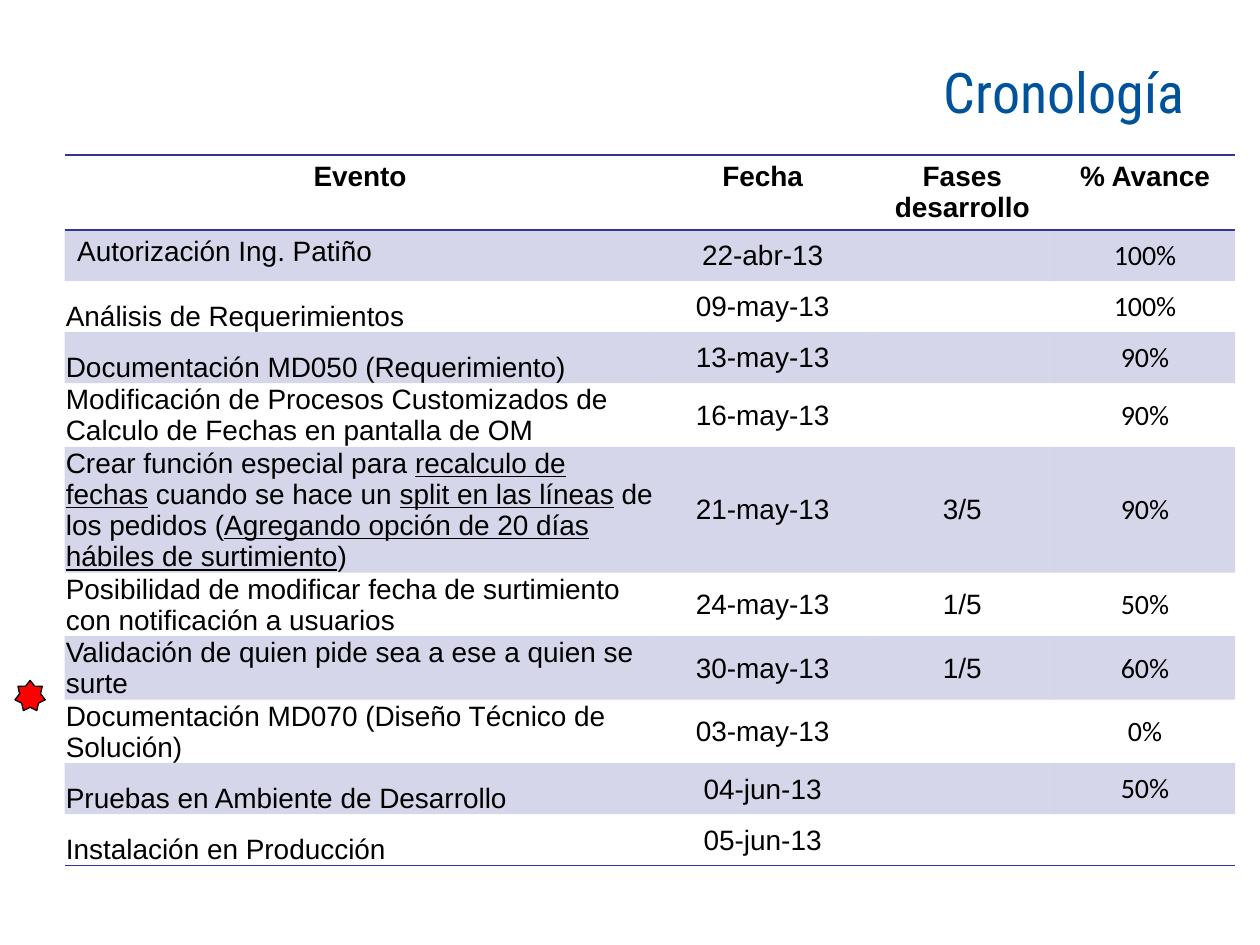
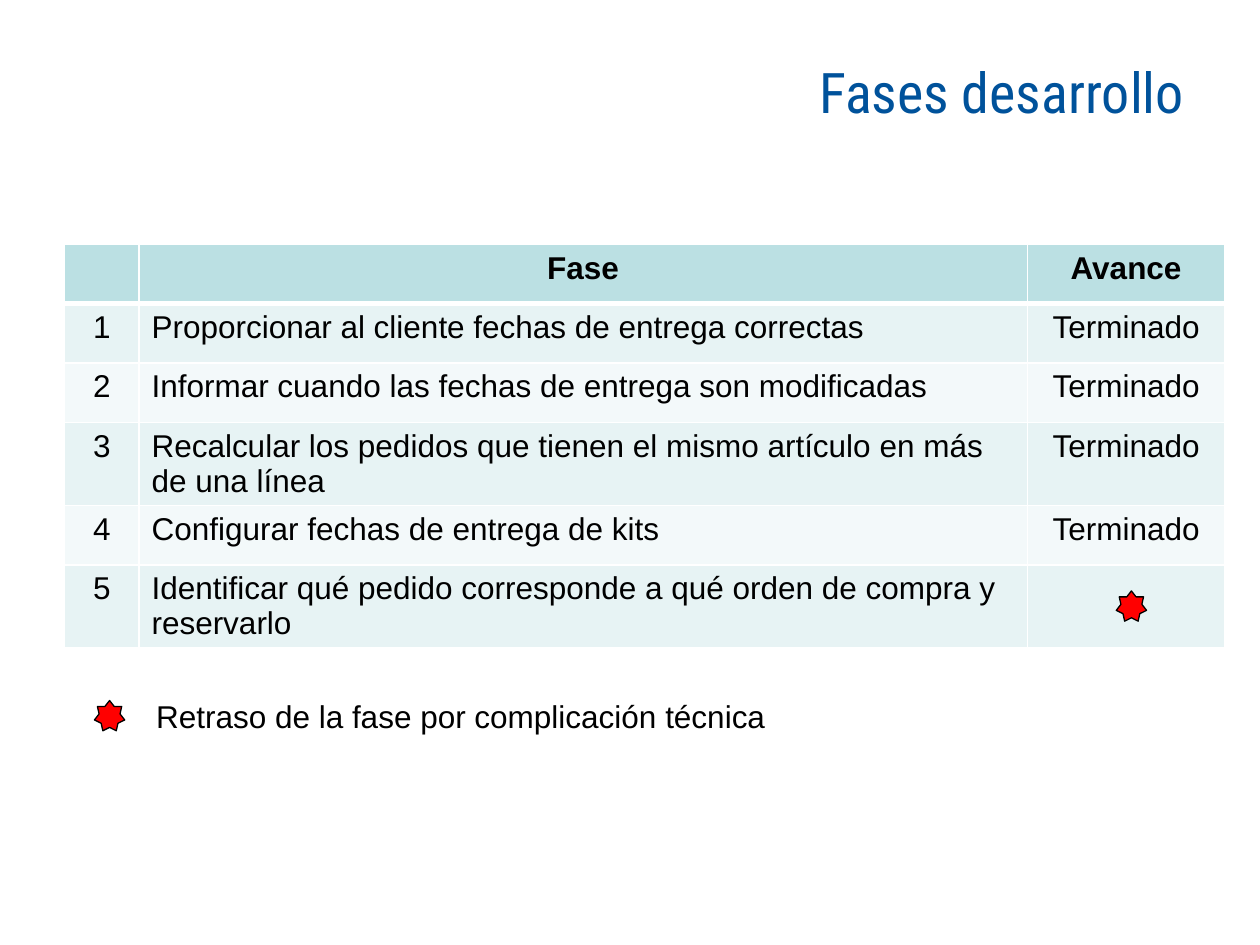
from lxml import etree
from pptx import Presentation
from pptx.dml.color import RGBColor
from pptx.enum import shapes, text
from pptx.oxml.ns import qn
from pptx.util import Pt

BLUE, INK, RED, WHITE = "00529B", "000000", "FF0000", "FFFFFF"
NAVY, TEAL, BANDS = "333399", "BBE0E3", ("E7F3F4", "F3F9FA")
BARE = "{2D5ABB26-0587-4C30-8999-92F81FD0307C}"
MID, LEFT = text.PP_ALIGN.CENTER, text.PP_ALIGN.LEFT
ANCHOR = text.MSO_ANCHOR

EVENTS = [
    ("Evento", "Fecha", "Fases desarrollo", "% Avance"),
    ("Autorización Ing. Patiño", "22-abr-13", "", "100%"),
    ("Análisis de Requerimientos", "09-may-13", "", "100%"),
    ("Documentación MD050 (Requerimiento)", "13-may-13", "", "90%"),
    ("Modificación de Procesos Customizados de Calculo de Fechas en pantalla de OM",
     "16-may-13", "", "90%"),
    ("Crear función especial para |recalculo de fechas| cuando se hace un "
     "|split en las líneas| de los pedidos (|Agregando opción de 20 días "
     "hábiles de surtimiento|)", "21-may-13", "3/5", "90%"),
    ("Posibilidad de modificar fecha de surtimiento con notificación a usuarios",
     "24-may-13", "1/5", "50%"),
    ("Validación de quien pide sea a ese a quien se surte", "30-may-13", "1/5", "60%"),
    ("Documentación MD070 (Diseño Técnico de Solución)", "03-may-13", "", "0%"),
    ("Pruebas en Ambiente de Desarrollo", "04-jun-13", "", "50%"),
    ("Instalación en Producción", "05-jun-13", "", ""),
]
TASKS = [
    "Proporcionar al cliente fechas de entrega correctas",
    "Informar cuando las fechas de entrega son modificadas",
    "Recalcular los pedidos que tienen el mismo artículo en más de una línea",
    "Configurar fechas de entrega de kits",
    "Identificar qué pedido corresponde a qué orden de compra y reservarlo",
]
PHASES = [("", "Fase", "Avance")] + [
    (str(n), task, "Terminado" if n < len(TASKS) else "")
    for n, task in enumerate(TASKS, 1)]
DELAY = "Retraso de la fase por complicación técnica"


def color(value):
    return RGBColor.from_string(value)


def write(frame, words, size, tint=INK, align=LEFT, name="Arial", bold=False):
    para = frame.paragraphs[0]
    para.alignment = align
    for part, piece in enumerate(words.split("|")):
        if not piece:
            continue
        run = para.add_run()
        run.text = piece
        run.font.color.rgb = color(tint)
        looks = {"size": Pt(size), "name": name, "bold": bold, "underline": part % 2 == 1}
        for key, val in looks.items():
            setattr(run.font, key, val)


def edge(cell, sides, tint, width=1):
    props = cell._tc.get_or_add_tcPr()
    for side in sides:
        line = etree.SubElement(props, qn("a:ln" + side), w=str(Pt(width)))
        fill = etree.SubElement(line, qn("a:solidFill"))
        etree.SubElement(fill, qn("a:srgbClr"), val=tint)


def paint(cell, tint, alpha=100):
    cell.fill.solid()
    cell.fill.fore_color.rgb = color(tint)
    if alpha < 100:
        tone = cell._tc.tcPr.find(qn("a:solidFill"))[0]
        etree.SubElement(tone, qn("a:alpha"), val=str(alpha * 1000))


def page(deck, title):
    slide = deck.slides.add_slide(deck.slide_layouts[5])
    head = slide.shapes.title
    box = {"left": 36, "top": 21.6, "width": 648, "height": 60.5}
    for key, val in box.items():
        setattr(head, key, Pt(val))
    head.text_frame.vertical_anchor = ANCHOR.MIDDLE
    write(head.text_frame, title, 32, BLUE, text.PP_ALIGN.RIGHT, "Roboto Condensed")
    return slide


def grid(slide, rows, top, widths, height):
    frame = slide.shapes.add_table(len(rows), len(widths), Pt(36.9), Pt(top),
                                   Pt(sum(widths)), Pt(height * len(rows)))
    table = frame.table
    table._tbl.tblPr.find(qn("a:tableStyleId")).text = BARE
    table.first_row = table.horz_banding = False
    for col, width in zip(table.columns, widths):
        col.width = Pt(width)
    for row in table.rows:
        row.height = Pt(height)
    return [(r, c, table.cell(r, c), words)
            for r, row in enumerate(rows) for c, words in enumerate(row)]


def star(slide, left, top):
    mark = slide.shapes.add_shape(shapes.MSO_SHAPE.STAR_7_POINT,
                                  Pt(left), Pt(top), Pt(17.3), Pt(17.3))
    mark.shadow.inherit = False
    mark.fill.solid()
    mark.fill.fore_color.rgb = color(RED)
    mark.line.color.rgb = color(INK)
    mark.line.width = Pt(0.75)


def events(deck):
    slide = page(deck, "Cronología")
    tight = {"margin_left": Pt(0.75), "margin_right": Pt(0.75),
             "margin_top": Pt(0.75), "margin_bottom": Pt(0)}
    for r, c, cell, words in grid(slide, EVENTS, 88.6, (337.7, 122.4, 105.8, 103), 29.2):
        head, first = r == 0, r == 1 and c == 0
        if head:
            edge(cell, "TB", NAVY)
        elif r == len(EVENTS) - 1:
            edge(cell, "B", NAVY)
        if r % 2:
            paint(cell, NAVY, 20)
        if words and not head and not first:
            cell.vertical_anchor = ANCHOR.MIDDLE if c else ANCHOR.BOTTOM
            for key, val in tight.items():
                setattr(cell, key, val)
        write(cell.text_frame, words, 16, align=MID if head or c else LEFT,
              name="Calibri" if c == 3 and not head else "Arial", bold=head)
    star(slide, 8.6, 388.8)


def phases(deck):
    slide = page(deck, "Fases desarrollo")
    for r, c, cell, words in grid(slide, PHASES, 139.7, (42.5, 507.6, 113), 33.9):
        head = r == 0
        edge(cell, "LR", WHITE)
        edge(cell, "T", WHITE, 3 if r == 1 else 1)
        edge(cell, "B", WHITE, 3 if head else 1)
        paint(cell, TEAL if head else BANDS[(r - 1) % 2])
        write(cell.text_frame, words, 18, align=MID if head or c != 1 else LEFT, bold=head)
    star(slide, 637.9, 337.7)
    star(slide, 54, 400.3)
    note = slide.shapes.add_textbox(Pt(82.1), Pt(394.6), Pt(365.8), Pt(28.8)).text_frame
    note.word_wrap = False
    note.auto_size = text.MSO_AUTO_SIZE.SHAPE_TO_FIT_TEXT
    write(note, DELAY, 18)


def main():
    deck = Presentation()
    deck.slide_width, deck.slide_height = Pt(720), Pt(540)
    events(deck)
    phases(deck)
    deck.save("out.pptx")


if __name__ == "__main__":
    main()
